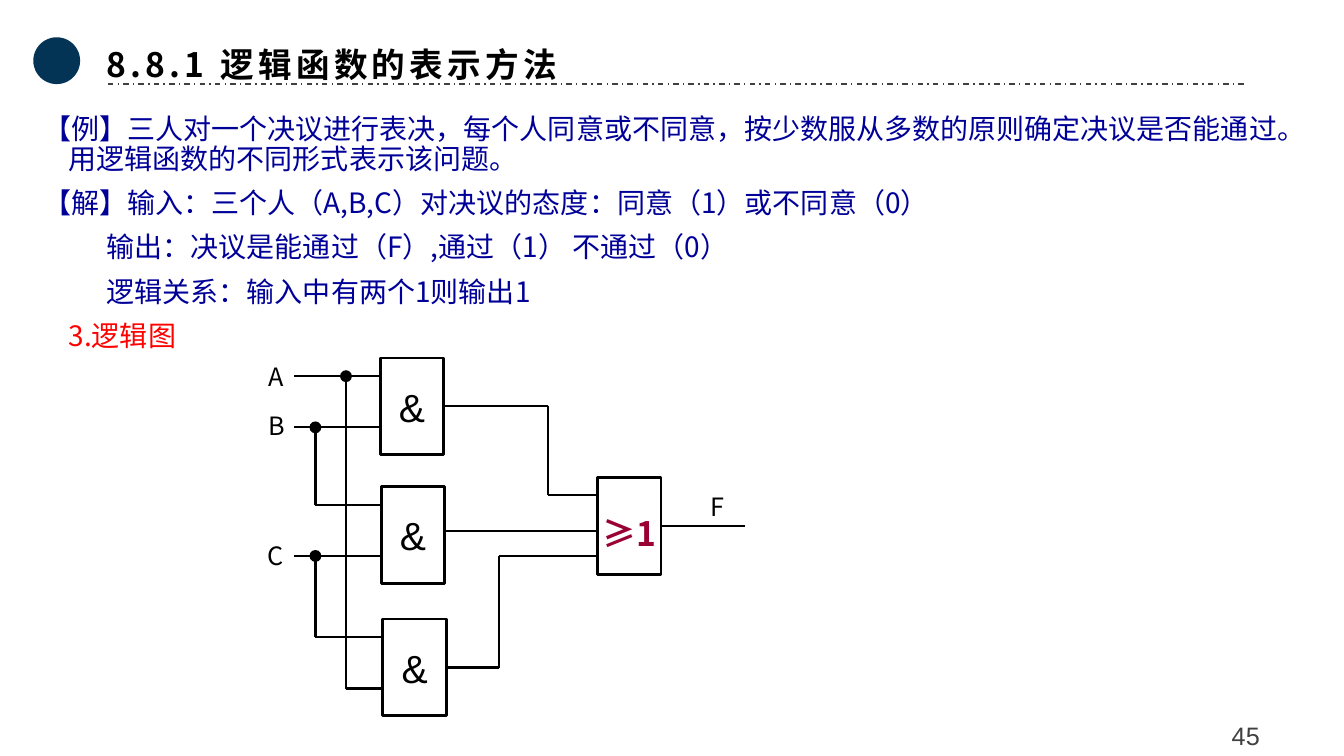
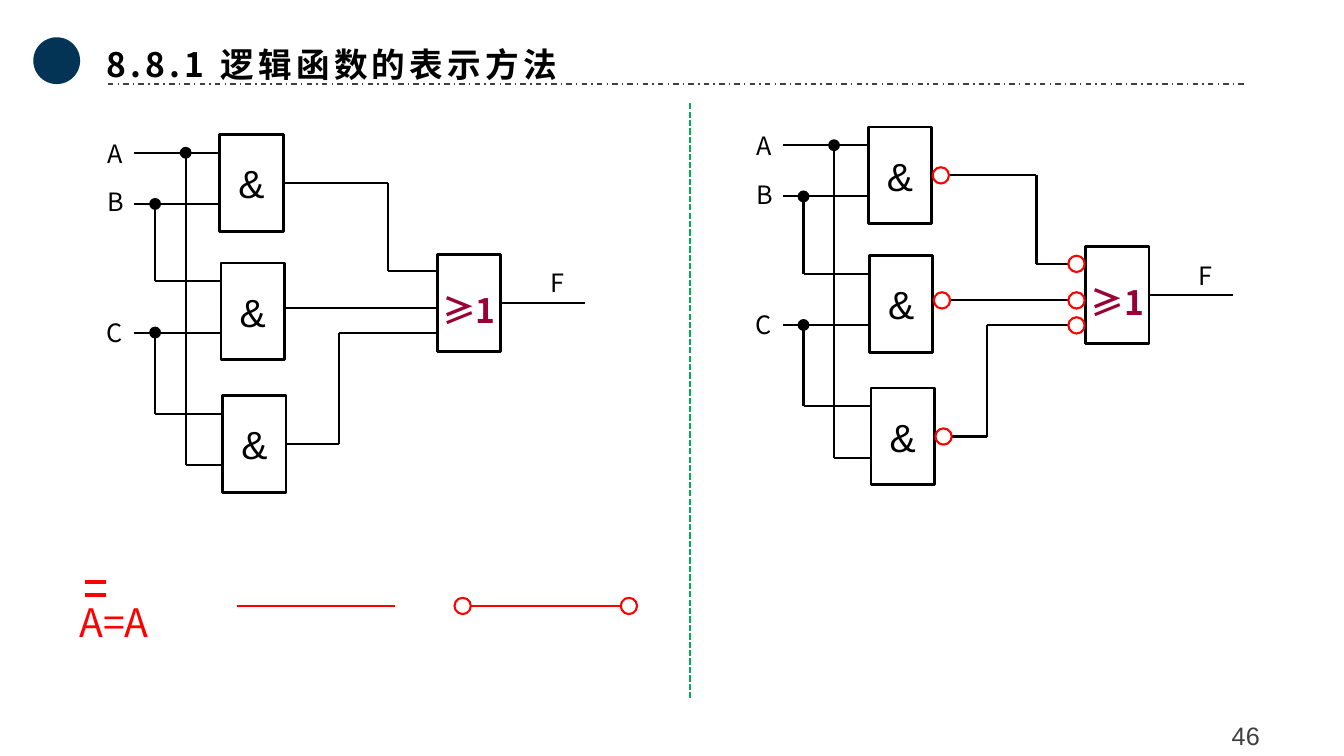
from dataclasses import dataclass

from lxml.etree import SubElement
from pptx import Presentation
from pptx.dml.color import RGBColor
from pptx.enum.dml import MSO_LINE
from pptx.enum.shapes import MSO_CONNECTOR, MSO_SHAPE
from pptx.enum.text import MSO_ANCHOR, MSO_AUTO_SIZE, PP_ALIGN
from pptx.oxml.ns import qn
from pptx.util import Cm, Pt


@dataclass(frozen=True)
class Theme:
    ink: str = "000000"
    paper: str = "FFFFFF"
    grey: str = "404040"
    navy: str = "033455"
    blue: str = "000099"
    red: str = "FF0000"
    crimson: str = "990033"
    green: str = "00B050"
    sans: str = "Noto Sans CJK SC"
    latin: str = "Arial"
    symbol_size: int = 28
    title_size: int = 24
    body_size: int = 20
    label_size: int = 18
    wire: float = 1.5
    border: float = 2


THEME = Theme()
TITLE = "8.8.1 逻辑函数的表示方法"
GATE_WIDTH, GATE_HEIGHT = 1.6, 2.44
FIRST_INPUT, SECOND_INPUT, GATE_OUTPUT = 0.46, 1.75, 1.22
AND_GATES = [(0, 0), (0.03, 3.24), (0.07, 6.58)]
OR_LEFT, OR_TOP = 5.48, 3.02
OR_INPUTS = [3.45, 4.37, 5]
SOURCE_X, BUS_BC, BUS_A = -2.16, -1.63, -0.86
UPPER_BEND, LOWER_BEND, OUTPUT_END = 4.24, 3, 9.19
LABELS = [("A", -3.07, -0.03), ("B", -3.07, 1.19), ("C", -3.1, 4.47)]
DOT, BUBBLE, BUBBLE_GAP = 0.3, 0.41, 0.23


def color(value):
    return RGBColor.from_string(value)


def style_text(para, size, tint, font=THEME.sans, bold=False, tracking=0):
    for span in para.runs:
        span.font.size = Pt(size)
        span.font.bold = bold
        span.font.color.rgb = color(tint)
        span.font.name = font
        properties = span.font._element
        if tracking:
            properties.set("spc", str(tracking * 100))
        SubElement(properties, qn("a:ea")).set("typeface", font)


def add_text(shapes, text, left, top, width, height, size, tint,
             wrap=True, anchor=MSO_ANCHOR.TOP, align=PP_ALIGN.LEFT,
             spacing=1.0, **style):
    box = shapes.add_textbox(Cm(left), Cm(top), Cm(width), Cm(height))
    frame = box.text_frame
    frame.word_wrap = wrap
    frame.auto_size = MSO_AUTO_SIZE.SHAPE_TO_FIT_TEXT
    frame.vertical_anchor = anchor
    frame.text = text
    para = frame.paragraphs[0]
    para.alignment = align
    para.line_spacing = spacing
    style_text(para, size, tint, **style)


def add_line(shapes, start, end, tint=THEME.ink, weight=THEME.wire, dash=None):
    line = shapes.add_connector(MSO_CONNECTOR.STRAIGHT,
                                *(Cm(value) for value in (*start, *end)))
    line.line.color.rgb = color(tint)
    line.line.width = Pt(weight)
    if dash:
        line.line.dash_style = dash
    SubElement(line._element.spPr, qn("a:effectLst"))


def add_wire(shapes, *points):
    for start, end in zip(points, points[1:]):
        add_line(shapes, start, end)


def add_figure(shapes, kind, left, top, width, height, fill, outline=None,
               weight=THEME.wire):
    figure = shapes.add_shape(kind, Cm(left), Cm(top), Cm(width), Cm(height))
    figure.shadow.inherit = False
    figure.fill.solid()
    figure.fill.fore_color.rgb = color(fill)
    if outline:
        figure.line.color.rgb = color(outline)
        figure.line.width = Pt(weight)
    else:
        figure.line.fill.background()
    return figure


def add_circle(shapes, x, y, diameter, fill, outline=None):
    add_figure(shapes, MSO_SHAPE.OVAL, x - diameter / 2, y - diameter / 2,
               diameter, diameter, fill, outline)


def add_bubble(shapes, x, y):
    add_circle(shapes, x, y, BUBBLE, THEME.paper, THEME.red)


def add_gate(shapes, left, top, symbol, size, tint, spacing=1.0, **style):
    gate = add_figure(shapes, MSO_SHAPE.RECTANGLE, left, top, GATE_WIDTH,
                      GATE_HEIGHT, THEME.paper, THEME.ink, THEME.border)
    frame = gate.text_frame
    frame.margin_left = frame.margin_right = 0
    frame.margin_top = frame.margin_bottom = 0
    frame.vertical_anchor = MSO_ANCHOR.MIDDLE
    frame.text = symbol
    para = frame.paragraphs[0]
    para.alignment = PP_ALIGN.CENTER
    para.line_spacing = spacing
    style_text(para, size, tint, **style)


def add_circuit(slide, left, top, inverted=False):
    shapes = slide.shapes.add_group_shape().shapes

    def at(x, y):
        return left + x, top + y

    (x1, y1), (x2, y2), (x3, y3) = AND_GATES
    a, b = y1 + FIRST_INPUT, y1 + SECOND_INPUT
    c = y2 + SECOND_INPUT
    outputs = [y1 + GATE_OUTPUT, OR_INPUTS[1], y3 + GATE_OUTPUT]
    result = OR_TOP + GATE_OUTPUT
    wires = [
        [(SOURCE_X, a), (x1, a)],
        [(SOURCE_X, b), (x1, b)],
        [(SOURCE_X, c), (x2, c)],
        [(BUS_BC, b), (BUS_BC, y2 + FIRST_INPUT), (x2, y2 + FIRST_INPUT)],
        [(BUS_BC, c), (BUS_BC, y3 + FIRST_INPUT), (x3, y3 + FIRST_INPUT)],
        [(BUS_A, a), (BUS_A, y3 + SECOND_INPUT), (x3, y3 + SECOND_INPUT)],
        [(x1 + GATE_WIDTH, outputs[0]), (UPPER_BEND, outputs[0]),
         (UPPER_BEND, OR_INPUTS[0]), (OR_LEFT, OR_INPUTS[0])],
        [(x2 + GATE_WIDTH, outputs[1]), (OR_LEFT, outputs[1])],
        [(x3 + GATE_WIDTH, outputs[2]), (LOWER_BEND, outputs[2]),
         (LOWER_BEND, OR_INPUTS[2]), (OR_LEFT, OR_INPUTS[2])],
        [(OR_LEFT + GATE_WIDTH, result), (OUTPUT_END, result)],
    ]
    for points in wires:
        add_wire(shapes, *(at(*point) for point in points))
    for point in [(BUS_A, a), (BUS_BC, b), (BUS_BC, c)]:
        add_circle(shapes, *at(*point), DOT, THEME.ink)
    for gate in AND_GATES:
        add_gate(shapes, *at(*gate), "&", THEME.symbol_size, THEME.ink,
                 font=THEME.latin)
    add_gate(shapes, *at(OR_LEFT, OR_TOP), "≥1", THEME.title_size,
             THEME.crimson, spacing=1.35, bold=True)
    for name, x, y in LABELS:
        add_text(shapes, name, *at(x, y), 0.95, 1.02, THEME.label_size,
                 THEME.ink, wrap=False)
    add_text(shapes, "F", *at(8.08, 3.23), 1.3, 1.02, THEME.label_size,
             THEME.ink)
    if inverted:
        for (x, _), y in zip(AND_GATES, outputs):
            add_bubble(shapes, *at(x + GATE_WIDTH + BUBBLE_GAP, y))
        for y in OR_INPUTS:
            add_bubble(shapes, *at(OR_LEFT - BUBBLE_GAP, y))


def add_page(deck, number):
    page = deck.slides.add_slide(deck.slide_layouts[6])
    shapes = page.shapes
    add_text(shapes, str(number), 29.16, 17.91, 4.47, 1.09, THEME.label_size,
             THEME.grey, anchor=MSO_ANCHOR.MIDDLE, align=PP_ALIGN.CENTER,
             spacing=1.2, font=THEME.latin)
    add_circle(shapes, 1.43, 1.53, 1.18, THEME.navy)
    add_text(shapes, TITLE, 2.44, 0.76, 28.96, 1.5, THEME.title_size,
             THEME.ink, anchor=MSO_ANCHOR.MIDDLE, spacing=1.2, bold=True,
             tracking=3)
    add_line(shapes, (2.72, 2.12), (31.4, 2.12), THEME.grey, 1,
             MSO_LINE.DASH_DOT)
    return page


def add_body(page, items):
    box = page.shapes.add_textbox(Cm(0.84), Cm(2.77), Cm(31.83), Cm(6.22))
    frame = box.text_frame
    frame.word_wrap = True
    for index, (text, margin, indent, tint) in enumerate(items):
        para = frame.paragraphs[0] if index == 0 else frame.add_paragraph()
        para.text = text
        para.line_spacing = 0.9
        para.space_before = Pt(10 if index else 0)
        properties = para._p.get_or_add_pPr()
        properties.set("marL", str(Cm(margin)))
        properties.set("indent", str(Cm(indent)))
        style_text(para, THEME.body_size, tint)


def add_double_negation(page):
    shapes = page.shapes
    formula = shapes.add_group_shape().shapes
    add_text(formula, "A=A", 1.75, 14.96, 2.69, 1.45, THEME.symbol_size,
             THEME.red)
    for y in (14.66, 14.99):
        add_line(formula, (2.13, y), (2.67, y), THEME.red, 2.5)
    y, length = 15.27, 3.99
    add_line(shapes, (5.97, y), (5.97 + length, y), THEME.red, THEME.border)
    inverted = shapes.add_group_shape().shapes
    add_line(inverted, (11.73, y), (11.73 + length, y), THEME.red,
             THEME.border)
    for x in (11.66, 15.85):
        add_bubble(inverted, x, y)


def build_logic_diagram(deck):
    page = add_page(deck, 45)
    add_body(page, [
        ("【例】三人对一个决议进行表决，每个人同意或不同意，按少数服从多数的原则确定决议是否能通过。"
         "用逻辑函数的不同形式表示该问题。", 0.64, -0.64, THEME.blue),
        ("【解】输入：三个人（A,B,C）对决议的态度：同意（1）或不同意（0）",
         0.64, -0.64, THEME.blue),
        ("输出：决议是能通过（F）,通过（1） 不通过（0）", 1.6, 0, THEME.blue),
        ("逻辑关系：输入中有两个1则输出1", 1.6, 0, THEME.blue),
        ("3.逻辑图", 0.64, 0, THEME.red),
    ])
    add_circuit(page, 9.58, 9.02)


def build_inverted_diagram(deck):
    page = add_page(deck, 46)
    add_double_negation(page)
    add_line(page.shapes, (17.4, 2.6), (17.4, 17.6), THEME.green, THEME.wire,
             MSO_LINE.SQUARE_DOT)
    add_circuit(page, 21.88, 3.2, inverted=True)
    add_circuit(page, 5.54, 3.39)


def main():
    deck = Presentation()
    deck.slide_width, deck.slide_height = Cm(33.87), Cm(19.05)
    build_logic_diagram(deck)
    build_inverted_diagram(deck)
    deck.save("out.pptx")


if __name__ == "__main__":
    main()
